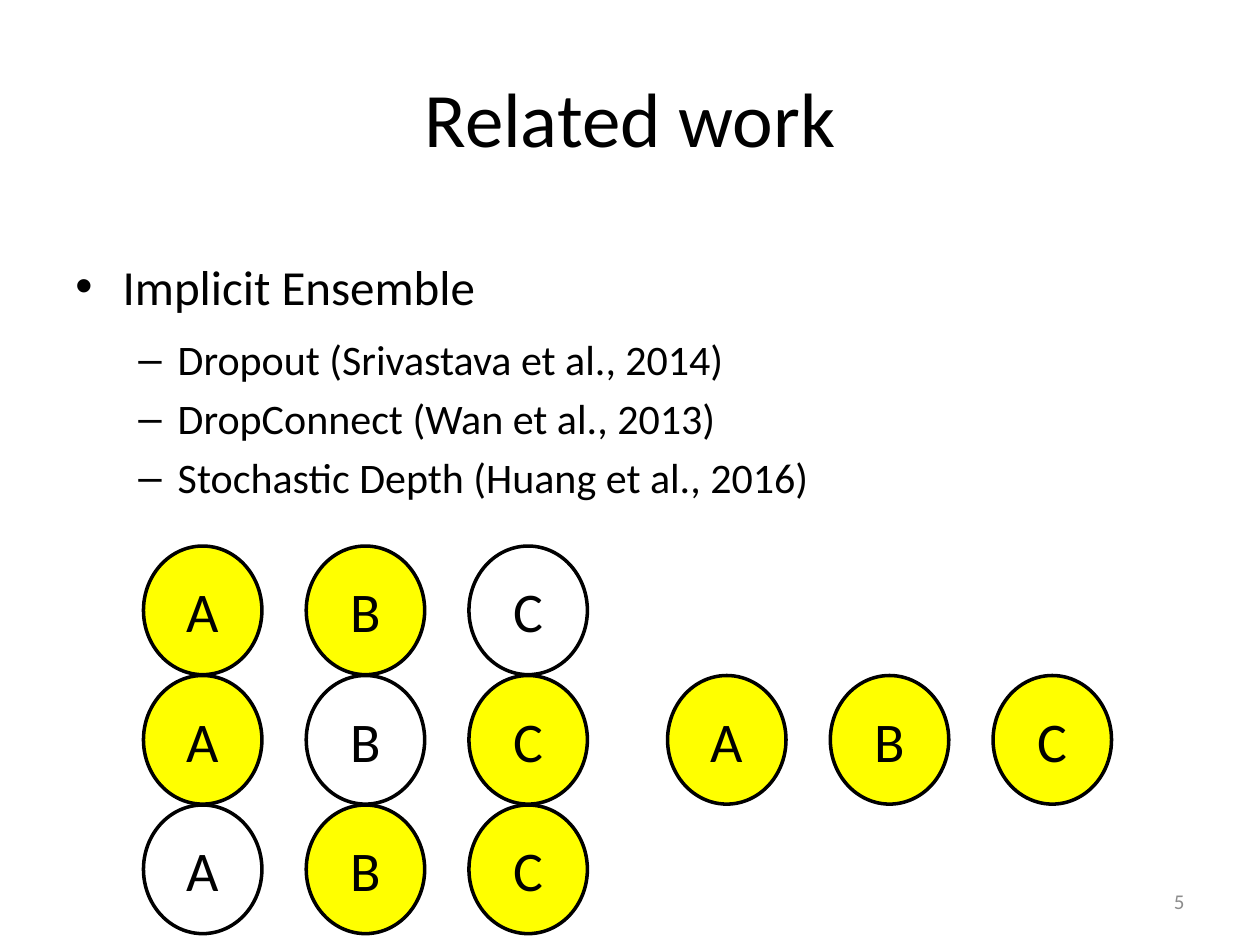
from lxml import etree
from pptx import Presentation
from pptx.dml.color import RGBColor
from pptx.enum import shapes, text
from pptx.oxml.ns import qn
from pptx.util import Pt

FONT = "Calibri"
BLACK, WHITE, YELLOW, GRAY = "000000", "FFFFFF", "FFFF00", "8C8C8C"
NODE_WIDTH, NODE_HEIGHT = 67.7, 73.5
COLUMN_STEP, ROW_STEP = 93, 74


def color(hex_code):
    return RGBColor.from_string(hex_code)


def add_run(paragraph, content, size, hex_code=BLACK):
    run = paragraph.add_run()
    run.text = content
    run.font.name = FONT
    run.font.size = Pt(size)
    run.font.color.rgb = color(hex_code)


def add_text_frame(slide, left, top, width, height, anchor):
    frame = slide.shapes.add_textbox(Pt(left), Pt(top), Pt(width), Pt(height)).text_frame
    frame.word_wrap = True
    frame.vertical_anchor = anchor
    return frame


def add_line(slide, box, content, size, align, hex_code=BLACK):
    """Add a single line of text centred vertically in its box."""
    frame = add_text_frame(slide, *box, text.MSO_ANCHOR.MIDDLE)
    frame.paragraphs[0].alignment = align
    add_run(frame.paragraphs[0], content, size, hex_code)


def set_bullet(paragraph, mark, margin, hanging):
    properties = paragraph._p.get_or_add_pPr()
    properties.set("marL", str(Pt(margin)))
    properties.set("indent", str(-Pt(hanging)))
    etree.SubElement(properties, qn("a:buFont")).set("typeface", "Arial")
    etree.SubElement(properties, qn("a:buChar")).set("char", mark)


def add_methods(slide, heading, methods):
    frame = add_text_frame(slide, 36, 126, 648, 356.4, text.MSO_ANCHOR.TOP)
    topic = frame.paragraphs[0]
    topic.line_spacing = 1.5
    topic.space_before, topic.space_after = Pt(5.6), Pt(6)
    set_bullet(topic, "•", 27, 27)
    add_run(topic, heading, 28)
    for method in methods:
        entry = frame.add_paragraph()
        entry.level = 1
        entry.space_before = Pt(4.8)
        set_bullet(entry, "–", 58.5, 22.5)
        add_run(entry, method, 24)


def add_node(slide, left, top, letter, active):
    node = slide.shapes.add_shape(shapes.MSO_SHAPE.OVAL, Pt(left), Pt(top),
                                  Pt(NODE_WIDTH), Pt(NODE_HEIGHT))
    node.shadow.inherit = False
    node.fill.solid()
    node.fill.fore_color.rgb = color(YELLOW if active else WHITE)
    node.line.color.rgb = color(BLACK)
    node.line.width = Pt(2)
    node.text_frame.vertical_anchor = text.MSO_ANCHOR.MIDDLE
    label = node.text_frame.paragraphs[0]
    label.alignment = text.PP_ALIGN.CENTER
    add_run(label, letter, 32)


def add_ensemble(slide, left, top, active_rows):
    """Draw one A-B-C row per entry, filling the letters it names."""
    for row, active in enumerate(active_rows):
        for column, letter in enumerate("ABC"):
            add_node(slide, left + column * COLUMN_STEP, top + row * ROW_STEP,
                     letter, letter in active)


def main():
    deck = Presentation()
    deck.slide_width, deck.slide_height = Pt(720), Pt(540)
    slide = deck.slides.add_slide(deck.slide_layouts[6])
    add_line(slide, (36, 21.6, 648, 90), "Related work", 44, text.PP_ALIGN.CENTER)
    add_methods(slide, "Implicit Ensemble", [
        "Dropout (Srivastava et al., 2014)",
        "DropConnect (Wan et al., 2013)",
        "Stochastic Depth (Huang et al., 2016)",
    ])
    add_line(slide, (516, 500.5, 168, 28.75), "5", 12, text.PP_ALIGN.RIGHT, GRAY)
    add_ensemble(slide, 82, 312, ["AB", "AC", "BC"])
    add_ensemble(slide, 381.5, 386, ["ABC"])
    deck.save("out.pptx")


if __name__ == "__main__":
    main()
